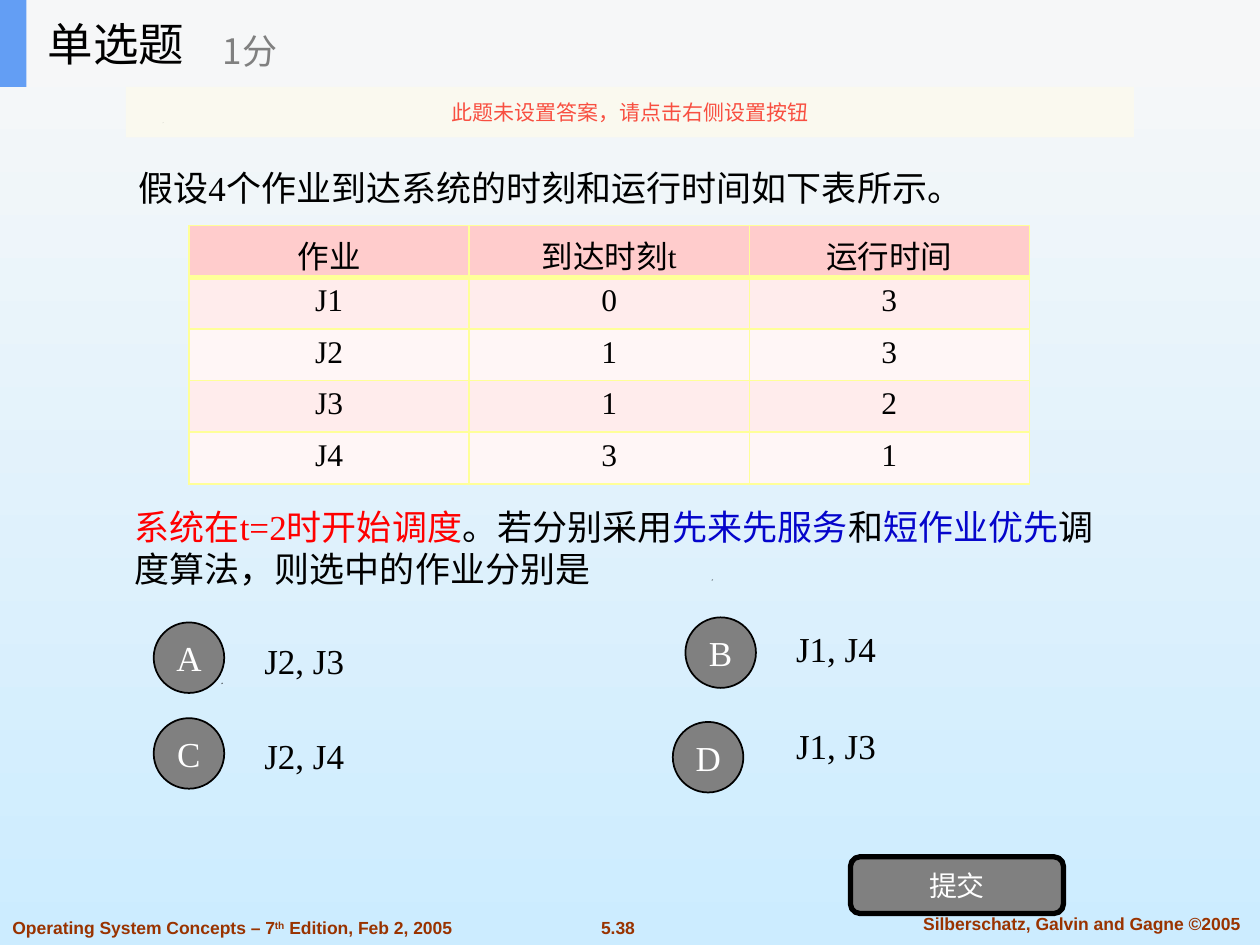
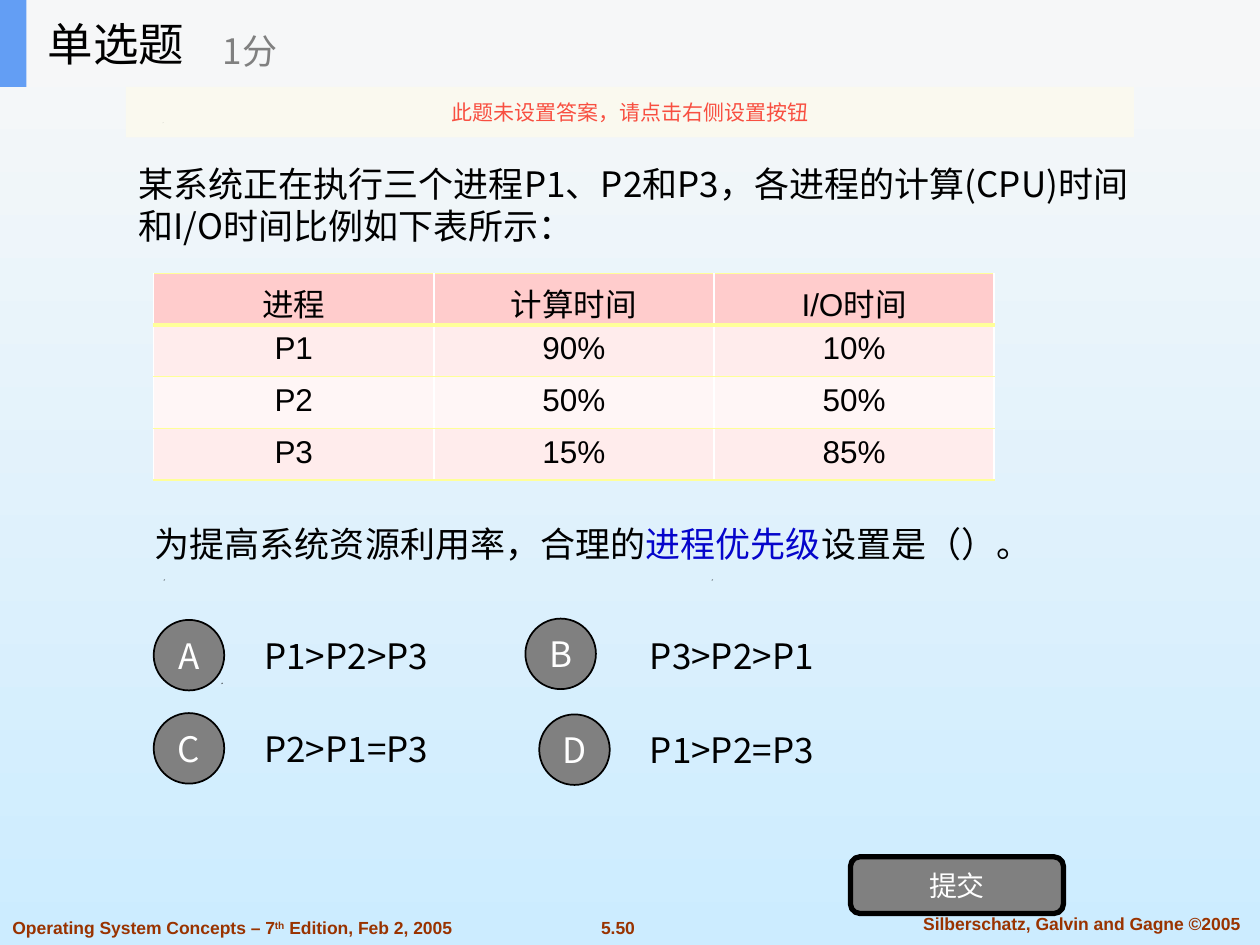
from lxml import etree
from pptx import Presentation
from pptx import util as u
from pptx.dml.color import RGBColor
from pptx.enum import shapes, text
from pptx.oxml import parse_xml
from pptx.oxml.ns import nsdecls, qn

HUE = {
    "black": "000000", "white": "FFFFFF", "gray": "808080", "red": "FF0000",
    "blue": "0505CB", "brown": "993300", "band": "F6F7F8", "bar": "639EF4",
    "cream": "FBFAEF", "alert": "F84F41", "top": "F8F8F8", "base": "CCECFF",
    "head": "FFCCCC", "odd": "FFECEC", "even": "FFF6F6", "rule": "FFFF99",
}
HUE = {name: RGBColor.from_string(code) for name, code in HUE.items()}
SANS, SERIF, ARIAL = "Noto Sans CJK SC", "Times New Roman", "Arial"
MID, TOP = text.MSO_ANCHOR.MIDDLE, text.MSO_ANCHOR.TOP
LEFT, CENTER = text.PP_ALIGN.LEFT, text.PP_ALIGN.CENTER
KIND = shapes.MSO_SHAPE


def write(frame, words, size, hue="black", face=SANS, align=LEFT, bold=False):
    para = frame.paragraphs[0]
    para.alignment = align
    font = para.font
    font.size, font.bold, font.name = u.Pt(size), bold, face
    font.color.rgb = HUE[hue]
    etree.SubElement(font._element, qn("a:ea"), typeface=SANS)
    for part, tint in [(words, None)] if isinstance(words, str) else words:
        run = para.add_run()
        run.text = part
        if tint:
            run.font.color.rgb = HUE[tint]
    return para


def place(slide, at, kind=None, fill=None, line=None, anchor=MID):
    at = [u.Inches(n) for n in at]
    if kind is None:
        shape = slide.shapes.add_textbox(*at)
    else:
        shape = slide.shapes.add_shape(kind, *at)
        shape.shadow.inherit = False
        shape.fill.solid()
        shape.fill.fore_color.rgb = HUE[fill]
        if line:
            shape.line.color.rgb = HUE["black"]
            shape.line.width = u.Pt(line)
        else:
            shape.line.fill.background()
    shape.text_frame.word_wrap = True
    shape.text_frame.vertical_anchor = anchor
    return shape


QUIZ = [
    {
        "page": "5.38", "face": SERIF, "cell": SERIF,
        "intro": "假设4个作业到达系统的时刻和运行时间如下表所示。",
        "lead": (1, 1.27, 8, 0.5), "anchor": TOP,
        "grid": (1.5, 1.79), "sides": "LRTB",
        "rows": [("作业", "到达时刻t", "运行时间"), ("J1", "0", "3"),
                 ("J2", "1", "3"), ("J3", "1", "2"), ("J4", "3", "1")],
        "ask": [("系统在t=2时开始调度", "red"), ("。若分别采用", "black"),
                ("先来先服务", "blue"), ("和", "black"), ("短作业优先", "blue"),
                ("调度算法，则选中的作业分别是", "black")],
        "body": (0.97, 3.96, 8, 0.9),
        "picks": [("A", 1.22, 4.94, "J2, J3", (2, 4.87, 1.46, 0.74)),
                  ("B", 5.44, 4.9, "J1, J4", (6.22, 4.83, 1.54, 0.63)),
                  ("C", 1.22, 5.7, "J2, J4", (2, 5.63, 1.46, 0.74)),
                  ("D", 5.34, 5.73, "J1, J3", (6.22, 5.6, 1.54, 0.63))],
    },
    {
        "page": "5.50", "face": SANS, "cell": ARIAL,
        "intro": "某系统正在执行三个进程P1、P2和P3，各进程的计算(CPU)时间和I/O时间比例如下表所示：",
        "lead": (1, 1.11, 8.3, 1.02), "anchor": MID,
        "grid": (1.22, 2.17), "sides": "TB",
        "rows": [("进程", "计算时间", "I/O时间"), ("P1", "90%", "10%"),
                 ("P2", "50%", "50%"), ("P3", "15%", "85%")],
        "ask": [("为提高系统资源利用率，合理的", "black"), ("进程优先级", "blue"),
                ("设置是（）。", "black")],
        "body": (1.13, 3.8, 8.3, 1.02),
        "picks": [("A", 1.22, 4.92, "P1>P2>P3", (2, 4.85, 2.17, 0.7)),
                  ("B", 4.17, 4.91, "P3>P2>P1", (5.06, 4.85, 2.17, 0.7)),
                  ("C", 1.22, 5.66, "P2>P1=P3", (2, 5.59, 2.17, 0.7)),
                  ("D", 4.28, 5.67, "P1>P2=P3", (5.06, 5.6, 2.17, 0.7))],
    },
]

deck = Presentation()
deck.slide_width, deck.slide_height = u.Inches(10), u.Inches(7.5)
back = deck.slide_master.background.fill
back.gradient()
back.gradient_angle = 270
for stop, name in zip(back.gradient_stops, ("top", "base")):
    stop.color.rgb = HUE[name]

for quiz in QUIZ:
    slide = deck.slides.add_slide(deck.slide_layouts[5])
    face = quiz["face"]

    for x, y in [(1.76, 5.42), (1.3, 4.6), (5.65, 4.6), (1.29, 0.97)]:
        pen = slide.shapes.build_freeform(u.Inches(x), u.Inches(y + 0.01))
        pen.add_line_segments([(u.Inches(x + 0.01), u.Inches(y)),
                               (u.Inches(x), u.Inches(y))])
        dot = pen.convert_to_shape()
        dot.shadow.inherit = False
        dot.fill.solid()
        dot.fill.fore_color.rgb = HUE["black"]
        dot.line.fill.background()

    for words, at, align in [
        (quiz["page"], (4.64, 7.23, 0.53, 0.27), CENTER),
        ("Silberschatz, Galvin and Gagne ©2005", (7.1, 7.2, 2.97, 0.27), CENTER),
        ([("Operating System Concepts – 7", None), ("th", None),
          (" Edition, Feb 2, 2005", None)], (0, 7.23, 4.11, 0.27), LEFT),
    ]:
        foot = place(slide, at, anchor=TOP).text_frame
        para = write(foot, words, 10, "brown", ARIAL, align, True)
    para.runs[1].font._element.set("baseline", "30000")

    lead = place(slide, quiz["lead"], anchor=quiz["anchor"])
    write(lead.text_frame, quiz["intro"], 20, face=face)
    body = place(slide, quiz["body"], anchor=quiz["anchor"])
    write(body.text_frame, quiz["ask"], 20, face=face)

    for mark, x, y, words, at in quiz["picks"]:
        write(place(slide, at).text_frame, words, 20, face=face)
        disc = place(slide, (x, y, 0.56, 0.56), KIND.OVAL, "gray", 1)
        write(disc.text_frame, mark, 20, "white", face, CENTER)

    send = place(slide, (6.75, 6.8, 1.69, 0.45), KIND.ROUNDED_RECTANGLE, "gray", 3)
    write(send.text_frame, "提交", 16, "white", align=CENTER)

    rows = quiz["rows"]
    size = (6.67, 0.41 * len(rows))
    grid = slide.shapes.add_table(
        len(rows), 3, *[u.Inches(n) for n in quiz["grid"] + size]).table
    grid.first_row = grid.horz_banding = False
    for r, row in enumerate(rows):
        for c, words in enumerate(row):
            cell = grid.cell(r, c)
            cell.fill.solid()
            cell.fill.fore_color.rgb = HUE["head" if r == 0 else "odd" if r % 2 else "even"]
            write(cell.text_frame, words, 18, face=quiz["cell"], align=CENTER)
            for i, side in enumerate(quiz["sides"]):
                thick = (r, side) in [(0, "B"), (1, "T")]
                edge = parse_xml(
                    f'<a:ln{side} {nsdecls("a")} w="{u.Pt(3 if thick else 1)}">'
                    f'<a:solidFill><a:srgbClr val="{HUE["rule"]}"/></a:solidFill>'
                    f'</a:ln{side}>')
                cell._tc.get_or_add_tcPr().insert(i, edge)

    place(slide, (0, 0, 10, 0.69), KIND.RECTANGLE, "band")
    bar = place(slide, (0, 0, 0.21, 0.69), KIND.RECTANGLE, "bar")
    title = slide.shapes.title
    bar.element.addnext(title.element)
    title.left, title.top, title.width, title.height = [
        u.Inches(n) for n in (0.28, 0, 2.08, 0.69)]
    title.text_frame.auto_size = text.MSO_AUTO_SIZE.NONE
    title.text_frame.vertical_anchor = MID
    write(title.text_frame, "单选题", 26)
    write(place(slide, (1.67, 0.12, 2.5, 0.56)).text_frame, "1分", 20, "gray")

    note = place(slide, (1, 0.69, 8, 0.4), KIND.RECTANGLE, "cream")
    tone = note.element.spPr.find(qn("a:solidFill"))[0]
    etree.SubElement(tone, qn("a:alpha"), val="90000")
    write(note.text_frame, "此题未设置答案，请点击右侧设置按钮", 12, "alert", align=CENTER)

deck.save("out.pptx")
